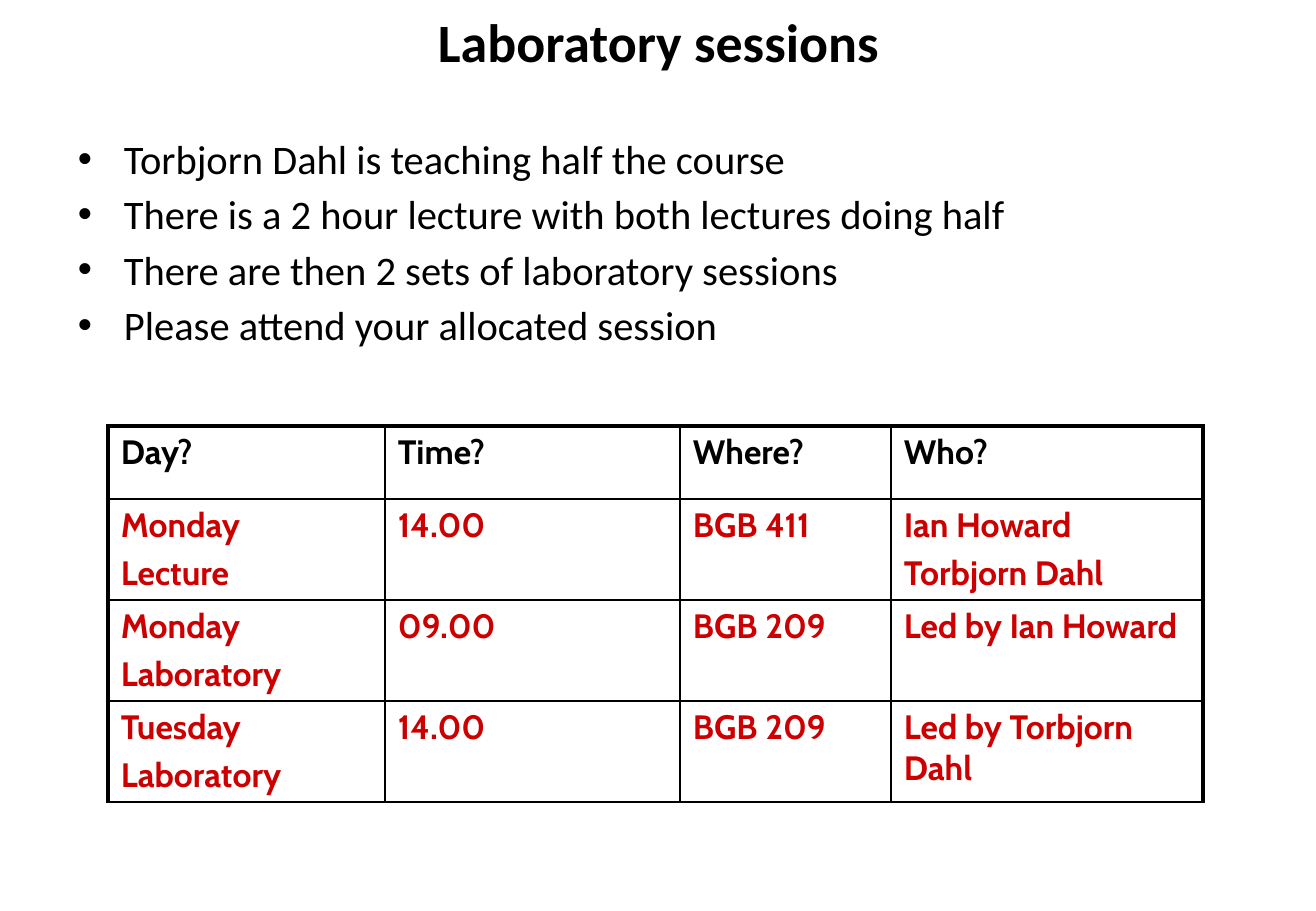
from lxml.etree import SubElement
from pptx import Presentation
from pptx.dml.color import RGBColor
from pptx.enum.text import MSO_ANCHOR, PP_ALIGN
from pptx.oxml.ns import qn
from pptx.util import Pt

EMU_PER_PX = 7526
BLACK = RGBColor(0x00, 0x00, 0x00)
RED = RGBColor(0xCC, 0x00, 0x00)
THIN, THICK = 1, 2.25

BULLETS = [
    "Torbjorn Dahl is teaching half the course",
    "There is a 2 hour lecture with both lectures doing half",
    "There are then 2 sets of laboratory sessions",
    "Please attend your allocated session",
]
SESSIONS = [
    ["Day?", "Time?", "Where?", "Who?"],
    ["Monday\nLecture", "14.00", "BGB 411", "Ian Howard\nTorbjorn Dahl"],
    ["Monday\nLaboratory", "09.00", "BGB 209", "Led by Ian Howard"],
    ["Tuesday\nLaboratory", "14.00", "BGB 209", "Led by Torbjorn Dahl"],
]
COLUMN_WIDTHS = [277, 295, 211, 312]
ROW_HEIGHTS = [73, 101, 101, 101]


def px(n):
    return n * EMU_PER_PX


def write(tf, text, font="Calibri", size=24, color=BLACK, bold=False,
          align=PP_ALIGN.LEFT, space=4, bullet_indent=0):
    """Fill a text frame, one paragraph for each line of text."""
    for i, line in enumerate(text.split("\n")):
        p = tf.add_paragraph() if i else tf.paragraphs[0]
        p.alignment = align
        p.space_before = Pt(space if i else 0)
        if bullet_indent:
            pPr = p._p.get_or_add_pPr()
            pPr.set("marL", str(px(bullet_indent)))
            pPr.set("indent", str(-px(bullet_indent)))
            SubElement(pPr, qn("a:buFont"), typeface="Arial")
            SubElement(pPr, qn("a:buChar"), char="•")
        r = p.add_run()
        r.text = line
        r.font.name = font
        r.font.size = Pt(size)
        r.font.bold = bold
        r.font.color.rgb = color


def set_borders(cell, **widths):
    """Draw black cell borders; keywords L, R, T, B give widths in points."""
    tcPr = cell._tc.get_or_add_tcPr()
    for side, width in widths.items():
        ln = SubElement(tcPr, qn(f"a:ln{side}"), w=str(Pt(width)))
        fill = SubElement(ln, qn("a:solidFill"))
        SubElement(fill, qn("a:srgbClr"), val=str(BLACK))


class Deck:
    def __init__(self, width, height):
        self.prs = Presentation()
        self.prs.slide_width = px(width)
        self.prs.slide_height = px(height)
        self.s = self.prs.slides.add_slide(self.prs.slide_layouts[5])

    def title(self, text, x, y, w, h):
        sp = self.s.shapes.title
        sp.left, sp.top, sp.width, sp.height = map(px, (x, y, w, h))
        sp.text_frame.vertical_anchor = MSO_ANCHOR.MIDDLE
        write(sp.text_frame, text, size=32, bold=True, align=PP_ALIGN.CENTER)

    def bullets(self, lines, x, y, w, h):
        sp = self.s.shapes.add_textbox(*map(px, (x, y, w, h)))
        sp.text_frame.word_wrap = True
        write(sp.text_frame, "\n".join(lines), bullet_indent=46)

    def table(self, rows, x, y, widths, heights):
        table = self.s.shapes.add_table(
            len(rows), len(widths),
            *map(px, (x, y, sum(widths), sum(heights)))).table
        table.first_row = table.horz_banding = False
        for column, width in zip(table.columns, widths):
            column.width = px(width)
        for row, height in zip(table.rows, heights):
            row.height = px(height)
        last = len(widths) - 1
        for i, row in enumerate(rows):
            for j, text in enumerate(row):
                cell = table.cell(i, j)
                cell.margin_left = cell.margin_right = px(13)
                cell.margin_top = cell.margin_bottom = px(6)
                set_borders(cell, L=THIN if j else THICK,
                            R=THICK if j == last else THIN,
                            T=THIN if i else THICK, B=THIN)
                cell.fill.background()
                write(cell.text_frame, text, font="Cabin", size=20,
                      color=RED if i else BLACK, bold=True)


def main():
    deck = Deck(1316, 911)
    deck.bullets(BULLETS, 66, 128, 1148, 699)
    deck.table(SESSIONS, 108, 426, COLUMN_WIDTHS, ROW_HEIGHTS)
    deck.title("Laboratory sessions", 66, 1, 1185, 80)
    deck.prs.save("out.pptx")


if __name__ == "__main__":
    main()
